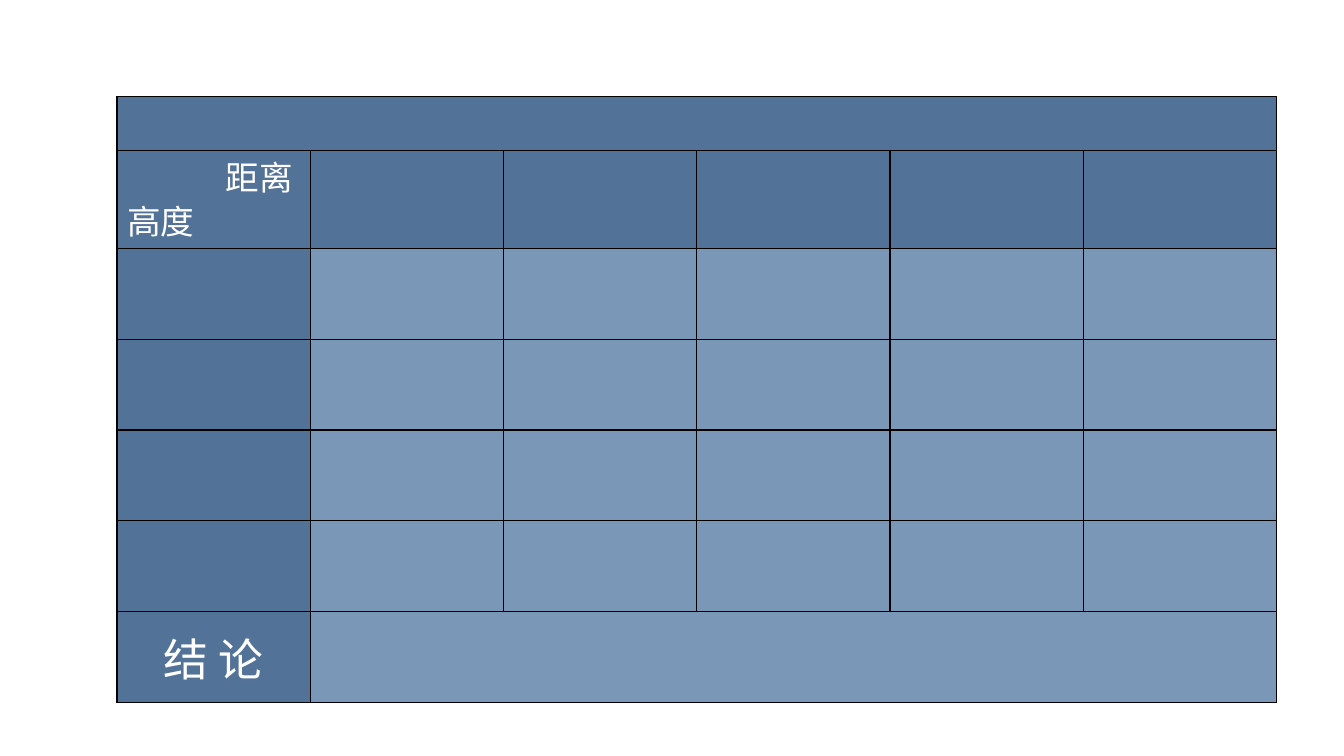
from pptx import Presentation
from pptx.dml.color import RGBColor
from pptx.enum.text import MSO_ANCHOR as Anchor, PP_ALIGN as Align
from pptx.oxml import parse_xml
from pptx.util import Cm, Pt

DARK, LIGHT, WHITE = "537297", "7B97B7", "FFFFFF"
NS = "http://schemas.openxmlformats.org/drawingml/2006/main"
COLS = 6
HEIGHTS = [1.36, 2.08] + [2.29] * 5


def paint(fmt, color):
    """Give a fill a solid colour from a hex string."""
    fmt.solid()
    fmt.fore_color.rgb = RGBColor.from_string(color)


def write(par, text, size, align, space=None):
    """Add one formatted run to a paragraph."""
    par.alignment = align
    par.line_spacing = space
    run = par.add_run()
    run.text = text
    run.font.size = Pt(size)
    run.font.name = "Arial"
    run.font.bold = False
    paint(run.font.fill, WHITE)


deck = Presentation()
deck.slide_width, deck.slide_height = Cm(33.87), Cm(19.05)
slide = deck.slides.add_slide(deck.slide_layouts[6])

# Table grid
frame = slide.shapes.add_table(len(HEIGHTS), COLS, Cm(2.95), Cm(2.43),
                               Cm(29.22), Cm(sum(HEIGHTS)))
table = frame.table
table.horz_banding = False
for col in table.columns:
    col.width = Cm(4.87)
for row, height in zip(table.rows, HEIGHTS):
    row.height = Cm(height)

# Dark headings at the top and left, light body, black borders
for r in range(len(HEIGHTS)):
    for c in range(COLS):
        cell = table.cell(r, c)
        props = cell._tc.get_or_add_tcPr()
        for side in ("lnL", "lnR", "lnT", "lnB"):
            props.append(parse_xml(
                f'<a:{side} xmlns:a="{NS}" w="12700"><a:solidFill>'
                f'<a:srgbClr val="000000"/></a:solidFill></a:{side}>'))
        paint(cell.fill, DARK if r < 2 or c == 0 else LIGHT)

# Merged title and conclusion rows
last = len(HEIGHTS) - 1
table.cell(0, 0).merge(table.cell(0, COLS - 1))
table.cell(last, 1).merge(table.cell(last, COLS - 1))

# Labels
corner = table.cell(1, 0).text_frame
write(corner.paragraphs[0], "距离 ", 24, Align.RIGHT, 0.9)
write(corner.add_paragraph(), "高度", 24, Align.LEFT, 0.9)
result = table.cell(last, 0)
result.vertical_anchor = Anchor.MIDDLE
write(result.text_frame.paragraphs[0], "结 论", 32, Align.CENTER)

deck.save("out.pptx")
